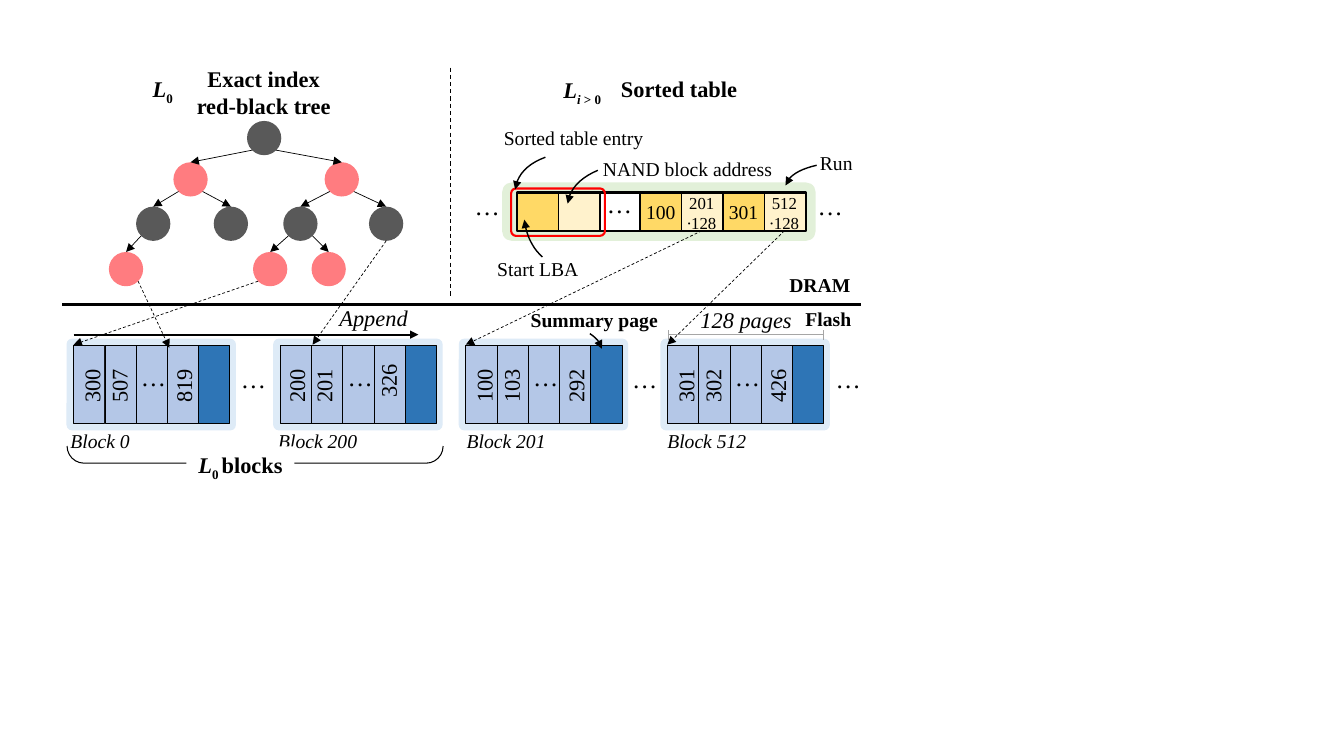
from dataclasses import dataclass
from lxml.etree import SubElement
from pptx import Presentation
from pptx.dml.color import RGBColor as RGB
from pptx.enum.dml import MSO_LINE
from pptx.enum.shapes import MSO_CONNECTOR, MSO_SHAPE as SHAPE
from pptx.enum.text import PP_ALIGN as ALIGN
from pptx.oxml.ns import qn
from pptx.util import Inches, Pt


@dataclass(frozen=True)
class Theme:
    """Colours, font and type sizes of the slide."""
    font: str = "Times New Roman"
    black: str = "000000"
    white: str = "FFFFFF"
    node_black: str = "595959"
    node_red: str = "FF7C80"
    page: str = "B4C7E7"
    summary: str = "2E75B6"
    block: str = "DEEBF7"
    run: str = "E2F0D9"
    lba: str = "FFD966"
    address: str = "FFF2CC"
    focus: str = "FF0000"
    measure: str = "A6A6A6"
    small: int = 12
    label: int = 14
    heading: int = 16
    dots: int = 18


T = Theme()
NODE = 0.34
PAGE_W, PAGE_TOP, PAGE_H = 0.31, 3.43, 0.77
CELL_W, CELL_TOP, CELL_H = 0.41, 1.91, 0.38
TREE = [
    (1.37, [(2.62, None)]),
    (1.78, [(1.89, 2.62), (3.39, 2.62)]),
    (2.22, [(1.52, 1.89), (2.29, 1.89), (2.98, 3.39), (3.83, 3.39)]),
    (2.67, [(1.25, 1.52), (2.68, 2.98), (3.26, 2.98)]),
]


def text(s, words, left, top, width, height=0.34, size=T.label, bold=False,
         italic=False, align=ALIGN.CENTER, rot=0, wrap=False, fill=None):
    """Add a text box; words is a list of paragraphs, or one, each a string or runs."""
    sp = s.shapes.add_textbox(*map(Inches, (left, top, width, height)))
    sp.rotation = rot
    if fill:
        sp.fill.solid()
        sp.fill.fore_color.rgb = RGB.from_string(fill)
    tf = sp.text_frame
    tf.word_wrap = wrap
    for i, runs in enumerate(words if isinstance(words, list) else [words]):
        p = tf.paragraphs[0] if i == 0 else tf.add_paragraph()
        p.alignment = align
        for part, slant, sub in ([(runs, italic, False)] if isinstance(runs, str) else runs):
            r = p.add_run()
            r.text = part
            r.font.name, r.font.size = T.font, Pt(size)
            r.font.bold, r.font.italic = bold, slant
            r.font.color.rgb = RGB.from_string(T.black)
            if sub:
                r.font._element.set("baseline", "-25000")
    return sp


def dots(s, left, top):
    """Add an ellipsis that stands for omitted items."""
    text(s, "…", left, top, 0.45, 0.4, size=T.dots, align=ALIGN.LEFT, wrap=True)


def stroke(sp, color, width, dash=False, arrow=False):
    """Format the line of a shape or connector."""
    sp.line.color.rgb = RGB.from_string(color)
    sp.line.width = Pt(width)
    if dash:
        sp.line.dash_style = MSO_LINE.DASH
    if arrow:
        SubElement(sp.line._get_or_add_ln(), qn("a:tailEnd"), type="triangle")


def shape(s, kind, left, top, width, height, fill=None, line=None, weight=0.5, adj=()):
    """Add a preset shape with an optional fill and outline."""
    sp = s.shapes.add_shape(kind, *map(Inches, (left, top, width, height)))
    sp.shadow.inherit = False
    for i, value in enumerate(adj):
        sp.adjustments[i] = value
    if fill:
        sp.fill.solid()
        sp.fill.fore_color.rgb = RGB.from_string(fill)
    else:
        sp.fill.background()
    if line:
        stroke(sp, line, weight)
    else:
        sp.line.fill.background()
    return sp


def line(s, start, end, weight=0.5, color=T.black, dash=False, arrow=False):
    """Add a straight line or arrow."""
    sp = s.shapes.add_connector(MSO_CONNECTOR.STRAIGHT, *map(Inches, (*start, *end)))
    stroke(sp, color, weight, dash, arrow)
    SubElement(sp._element.spPr, qn("a:effectLst"))


def curve(s, start, mid, end, steps=10):
    """Add a curved arrow that passes through mid."""
    def point(t):
        weights = ((1 - t) * (1 - 2 * t), 4 * t * (1 - t), t * (2 * t - 1))
        return tuple(Inches(sum(w * v for w, v in zip(weights, axis)))
                     for axis in zip(start, mid, end))

    fb = s.shapes.build_freeform(*point(0), scale=1.0)
    fb.add_line_segments([point(i / steps) for i in range(1, steps + 1)], close=False)
    sp = fb.convert_to_shape()
    sp.shadow.inherit = False
    sp.fill.background()
    stroke(sp, T.black, 1, arrow=True)


def block(s, left, name, name_left, numbers, shift=0, last_top=3.64):
    """Add a flash block: panel, four pages, summary page, numbers and name."""
    shape(s, SHAPE.ROUNDED_RECTANGLE, left - 0.07, 3.36, 1.68, 0.91, T.block, adj=[0.06])
    for i, fill in enumerate([T.page] * 4 + [T.summary]):
        shape(s, SHAPE.RECTANGLE, left + i * PAGE_W, PAGE_TOP, PAGE_W, PAGE_H, fill, T.black)
    for number, dx, top in zip(numbers, (-0.09, 0.18, 0.82), (3.64, 3.64, last_top)):
        text(s, number, left + dx + shift, top, 0.54, 0.37, size=T.heading,
             align=ALIGN.LEFT, rot=270, wrap=True)
    dots(s, left + 0.57, 3.54)
    text(s, name, name_left, 4.21, 0.99, italic=True, align=ALIGN.LEFT)


def entry(s, left, lba="", address=()):
    """Add a sorted table entry: start LBA cell and block address cell."""
    for i, fill in enumerate((T.lba, T.address)):
        shape(s, SHAPE.RECTANGLE, left + i * CELL_W, CELL_TOP, CELL_W, CELL_H, fill, T.black)
    shape(s, SHAPE.RECTANGLE, left, CELL_TOP, 2 * CELL_W, CELL_H, line=T.black, weight=1.5)
    if lba:
        text(s, lba, left - 0.04, 1.93, 0.57, align=ALIGN.LEFT, wrap=True)
        text(s, list(address), left + 0.35, 1.86, 0.52, 0.5, size=T.small, wrap=True)


def tree(s):
    """Add the red-black tree, coloured by level."""
    above = 0
    for level, (y, nodes) in enumerate(TREE):
        for x, parent in nodes:
            shape(s, SHAPE.OVAL, x - NODE / 2, y - NODE / 2, NODE, NODE,
                  T.node_red if level % 2 else T.node_black)
            if parent:
                side = 0.12 if x > parent else -0.12
                line(s, (parent + side, above + 0.12), (x, y - NODE / 2), arrow=True)
        above = y


def sorted_table(s):
    """Add the sorted table run with its callouts."""
    shape(s, SHAPE.ROUNDED_RECTANGLE, 4.98, 1.81, 3.11, 0.58, T.run)
    entry(s, 6.35, "100", ("201", "∙128"))
    entry(s, 7.17, "301", ("512", "∙128"))
    entry(s, 5.13)
    shape(s, SHAPE.RECTANGLE, 5.95, CELL_TOP, 0.4, CELL_H, T.white, T.black, 1.5)
    shape(s, SHAPE.ROUNDED_RECTANGLE, 5.07, 1.87, 0.93, 0.47, line=T.focus, weight=1.5, adj=[0.1])
    for left, top in ((4.61, 1.84), (5.92, 1.82), (8.01, 1.84)):
        dots(s, left, top)
    for words, left, top, width in (("Sorted table entry", 4.89, 1.2, 1.6), ("Run", 8.03, 1.45, 0.53),
                                    ("NAND block address", 5.87, 1.51, 1.9), ("Start LBA", 4.83, 2.5, 1.01)):
        text(s, words, left, top, width)
    curve(s, (5.41, 1.56), (5.2, 1.69), (5.11, 1.88))
    curve(s, (5.93, 1.69), (5.72, 1.83), (5.63, 2.02))
    curve(s, (5.38, 2.55), (5.26, 2.39), (5.2, 2.18))
    curve(s, (8.1, 1.64), (7.89, 1.72), (7.79, 1.84))


def flash(s):
    """Add the flash blocks with their annotations."""
    block(s, 0.73, "Block 0", 0.6, ("300", "507", "819"))
    block(s, 2.78, "Block 200", 2.66, ("200", "201", "326"), shift=-0.02, last_top=3.59)
    block(s, 4.62, "Block 201", 4.53, ("100", "103", "292"))
    block(s, 6.62, "Block 512", 6.52, ("301", "302", "426"))
    for left in (2.29, 6.17, 8.19):
        dots(s, left, 3.56)
    shape(s, SHAPE.RIGHT_BRACE, 2.36, 2.73, 0.34, 3.73, line=T.black, weight=0.75,
          adj=[0.495, 0.499]).rotation = 90
    text(s, [[("L", True, False), ("0 ", False, True), ("blocks", False, False)]],
         1.85, 4.43, 1.07, 0.37, size=T.heading, bold=True, fill=T.white)
    text(s, "Append", 3.26, 2.97, 0.89, 0.37, size=T.heading, italic=True)
    line(s, (0.73, 3.32), (4.15, 3.32), 1.5, arrow=True)
    text(s, "Summary page", 5.16, 3.01, 1.47, bold=True, wrap=True)
    curve(s, (5.85, 3.31), (5.93, 3.38), (5.97, 3.46))
    line(s, (6.63, 3.32), (8.17, 3.32), 1, T.measure)
    for x in (6.63, 8.17):
        line(s, (x, 3.37), (x, 3.27), 1, T.measure)
    text(s, "128 pages", 6.73, 2.99, 1.34, 0.37, size=T.heading, italic=True, wrap=True)


def main():
    """Build the slide and save it."""
    prs = Presentation()
    prs.slide_width, prs.slide_height = Inches(13.33), Inches(7.5)
    s = prs.slides.add_slide(prs.slide_layouts[6])
    heading = dict(size=T.heading, bold=True)
    text(s, [[("L", True, False), ("0", False, True)]], 1.3, 0.7, 0.63, 0.37, **heading)
    text(s, ["Exact index", "red-black tree"], 1.84, 0.6, 1.55, 0.64, **heading)
    text(s, [[("L", True, False), ("i", True, True), (" > 0", False, True)]],
         5.46, 0.71, 0.63, 0.37, **heading)
    text(s, "Sorted table", 6.05, 0.7, 1.37, 0.37, **heading)
    line(s, (0.62, 3.02), (8.54, 3.02), 2.25)
    line(s, (4.47, 0.67), (4.47, 2.96), 0.75, dash=True)
    text(s, "DRAM", 7.73, 2.66, 0.81, bold=True, align=ALIGN.LEFT)
    text(s, "Flash", 7.89, 3, 0.66, bold=True, align=ALIGN.LEFT)
    tree(s)
    sorted_table(s)
    flash(s)
    for start, end in (((1.37, 2.79), (1.68, 3.45)), ((2.56, 2.79), (0.73, 3.42)),
                       ((3.83, 2.39), (3.1, 3.42)), ((6.96, 2.29), (4.62, 3.42)),
                       ((7.78, 2.29), (6.62, 3.42))):
        line(s, start, end, dash=True, arrow=True)
    prs.save("out.pptx")


main()
